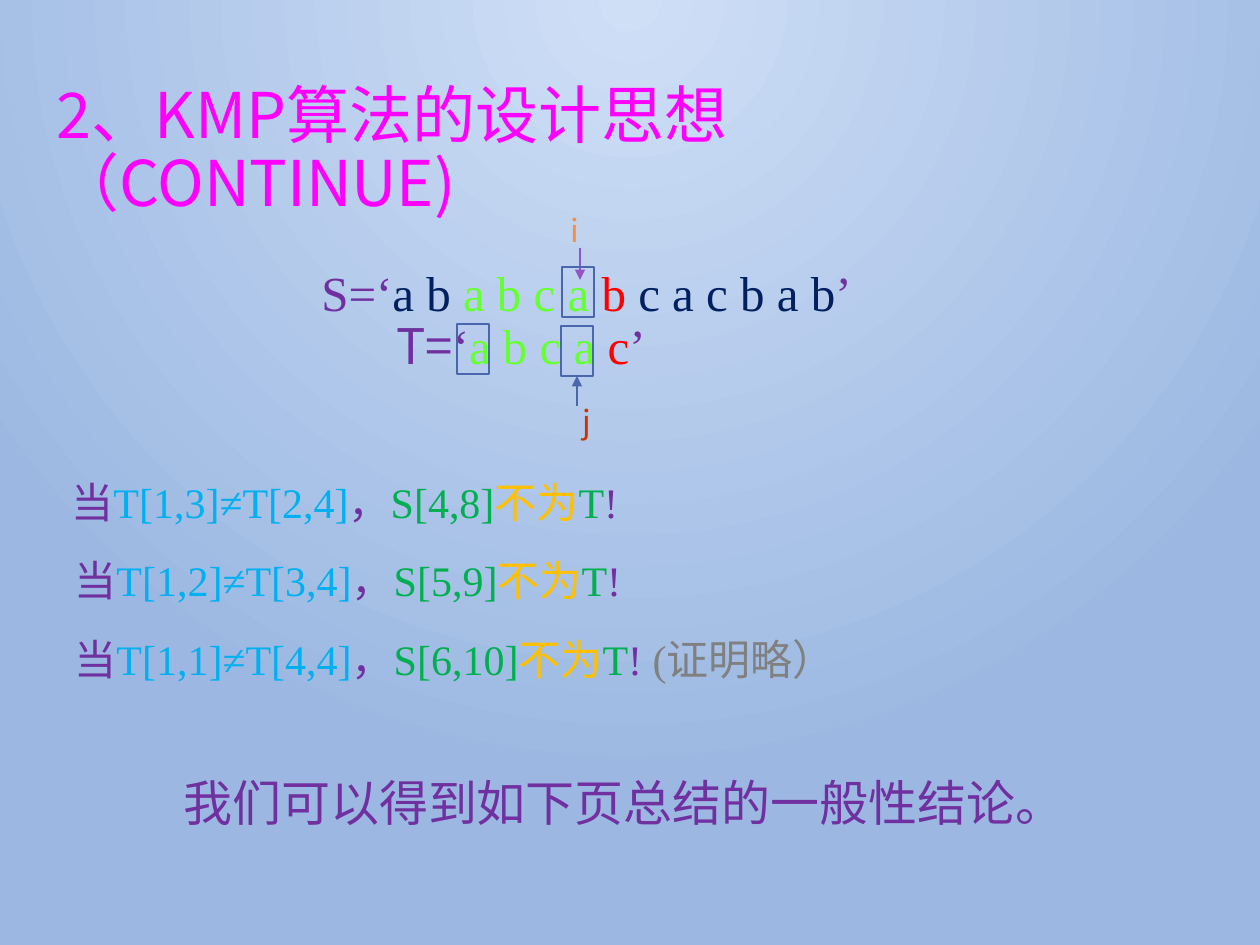
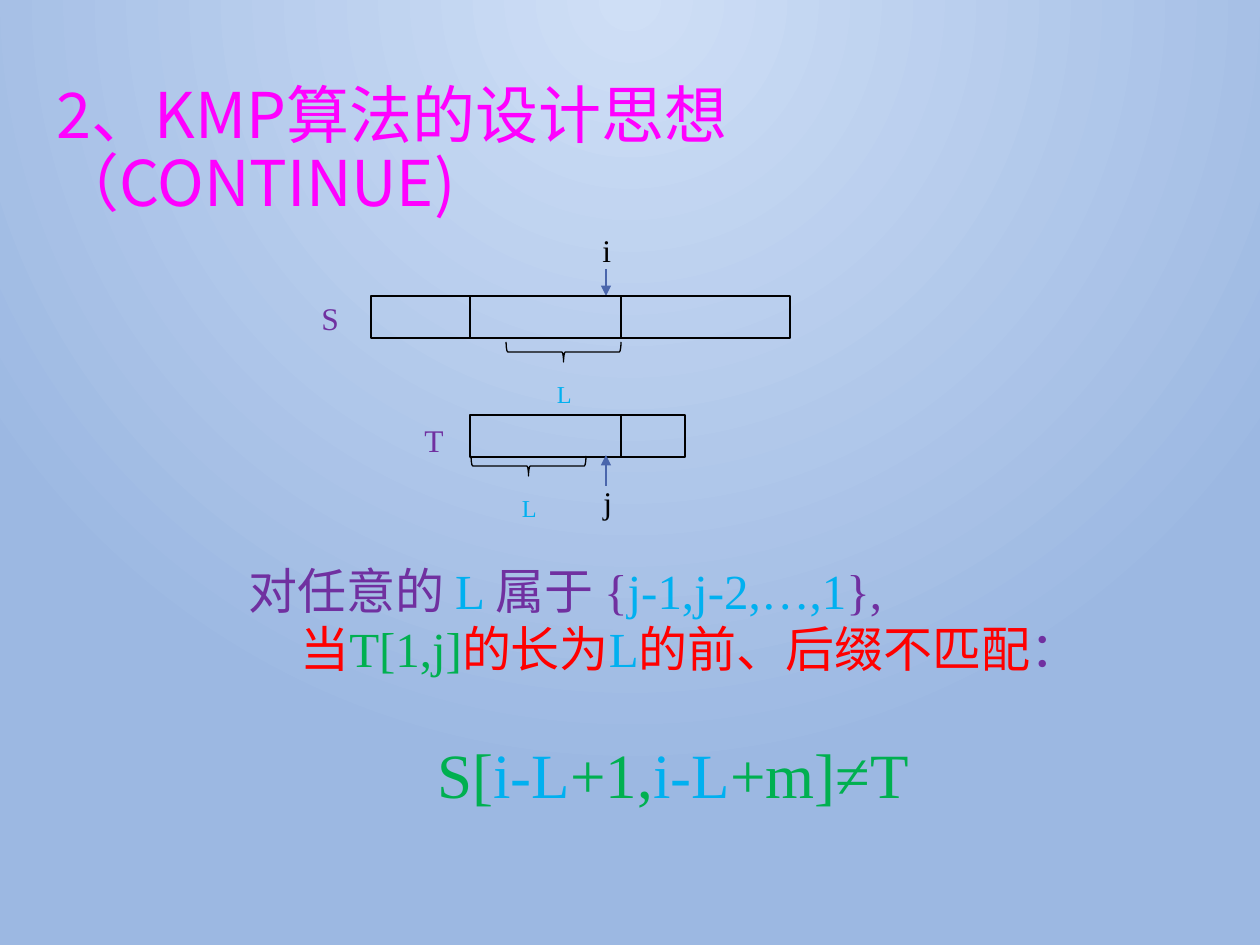
from dataclasses import dataclass

from lxml import etree
from pptx import Presentation
from pptx import util as u
from pptx.dml.color import RGBColor
from pptx.enum import shapes, text
from pptx.oxml.ns import qn

PX = 914400 / 126


@dataclass(frozen=True)
class Theme:
    sans: str = "Noto Sans CJK SC"
    serif: str = "Times New Roman"
    body: str = "Calibri"
    glow: str = "CFDFF6"
    sky: str = "9CB8E2"
    magenta: str = "FF00FF"
    purple: str = "7030A0"
    navy: str = "002060"
    lime: str = "66FF33"
    red: str = "FF0000"
    orange: str = "F98D43"
    violet: str = "9454C3"
    rust: str = "CC3300"
    blue: str = "4A66AC"
    cyan: str = "00B0F0"
    green: str = "00B050"
    gold: str = "FFC000"
    gray: str = "808080"
    black: str = "000000"
    title_size: int = 36
    large: int = 28
    medium: int = 24
    small: int = 18
    line_width: float = 0.75


T = Theme()


def px(n):
    return u.Emu(round(n * PX))


def rgb(value):
    return RGBColor.from_string(value)


def add_background(s):
    """Radial glow that spreads from the top centre."""
    fill = s.background.fill
    fill.gradient()
    for stop, color, position in zip(fill.gradient_stops, (T.glow, T.sky), (0, 1)):
        stop.color.rgb = rgb(color)
        stop.position = position
    grad = s.element.xpath(".//p:bg//a:gradFill")[0]
    lin = grad.find(qn("a:lin"))
    path = etree.Element(qn("a:path"), {"path": "circle"})
    etree.SubElement(path, qn("a:fillToRect"),
                     {"l": "43000", "t": "0", "r": "43000", "b": "100000"})
    grad.replace(lin, path)


def write(p, runs, size, font):
    """Fill a paragraph with (text, colour) runs of one size and font."""
    for words, color in runs:
        r = p.add_run()
        r.text = words
        r.font.color.rgb = rgb(color)
    p.font.size = u.Pt(size)
    p.font.name = font
    for props in p._p.xpath("a:pPr/a:defRPr"):
        etree.SubElement(props, qn("a:ea"), {"typeface": T.sans})


def add_text(s, x, y, w, h, runs, size, font=T.serif):
    """Add a text box and return its first paragraph and frame."""
    tf = s.shapes.add_textbox(px(x), px(y), px(w), px(h)).text_frame
    tf.word_wrap = True
    p = tf.paragraphs[0]
    write(p, runs, size, font)
    return p, tf


def add_outline(s, x, y, w, h, color, kind=shapes.MSO_SHAPE.RECTANGLE):
    sp = s.shapes.add_shape(kind, px(x), px(y), px(w), px(h))
    sp.shadow.inherit = False
    sp.fill.background()
    sp.line.color.rgb = rgb(color)
    sp.line.width = u.Pt(T.line_width)
    return sp


def add_line(s, x, y1, y2, color, arrow=False):
    """Vertical line, with an optional arrowhead at y2."""
    c = s.shapes.add_connector(shapes.MSO_CONNECTOR.STRAIGHT,
                               px(x), px(y1), px(x), px(y2))
    c.line.color.rgb = rgb(color)
    c.line.width = u.Pt(T.line_width)
    if arrow:
        etree.SubElement(c.line._get_or_add_ln(), qn("a:tailEnd"), {"type": "triangle"})
    etree.SubElement(c._element.spPr, qn("a:effectLst"))
    return c


def add_bar(s, x, y, w, h, cuts):
    """Box for a string, split at the given offsets."""
    add_outline(s, x, y, w, h, T.black)
    for cut in cuts:
        add_line(s, x + cut, y, y + h, T.black)


def add_brace(s, x, y, w, h):
    """Brace below a span of a bar, with the length L under it."""
    brace = add_outline(s, x + (w - h) / 2, y + (h - w) / 2, h, w, T.black,
                        shapes.MSO_SHAPE.RIGHT_BRACE)
    brace.rotation = 90
    p, _ = add_text(s, x + w / 2 - 19, y + 3, 59, 47, [("L", T.cyan)], T.medium)
    p.runs[0]._r.get_or_add_rPr().set("baseline", "-25000")


def add_title(s, x, y, w, h):
    p, _ = add_text(s, x, y, w, h, [("2、KMP算法的设计思想（CONTINUE)", T.magenta)],
                    T.title_size, T.sans)
    p.line_spacing = 0.9


def add_match(s, x, y):
    """Strings S and T aligned at the mismatch, with pointers i and j."""
    add_text(s, x, y + 51, 577, 72,
             [("S=‘", T.purple), ("a b ", T.navy), ("a b c a ", T.lime),
              ("b ", T.red), ("c a c b a b", T.navy), ("’", T.purple)], T.large)
    p, _ = add_text(s, x + 75, y + 104, 300, 72,
                    [("T=", T.purple), ("‘", T.purple), ("a b c a ", T.lime),
                     ("c", T.red), ("’", T.purple)], T.large, T.serif)
    p.runs[0].font.name = T.sans
    add_text(s, x + 249, y, 32, 50, [("i", T.orange)], T.small, T.sans)
    add_line(s, x + 271, y + 43, y + 75, T.violet, arrow=True)
    add_text(s, x + 261, y + 191, 42, 50, [("j", T.rust)], T.small, T.sans)
    cells = [add_outline(s, x + dx, y + dy, 32, 50, T.blue)
             for dx, dy in ((253, 62), (148, 119), (252, 121))]
    pointer = add_line(s, x + 268, y + 201, y + 171, T.blue, arrow=True)
    pointer.end_connect(cells[-1], 2)


def add_conditions(s, x, y, w):
    """One line for each prefix and suffix that differ."""
    rows = [(0, "T[1,3]≠T[2,4]", "S[4,8]", ""),
            (3, "T[1,2]≠T[3,4]", "S[5,9]", ""),
            (3, "T[1,1]≠T[4,4]", "S[6,10]", " (证明略）")]
    for i, (dx, premise, window, note) in enumerate(rows):
        runs = [("当", T.purple), (premise, T.cyan), ("，", T.purple),
                (window, T.green), ("不为", T.gold), ("T", T.green), ("!", T.purple)]
        if note:
            runs.append((note, T.gray))
        add_text(s, x + dx, y + i * 157 // 2, w, 63, runs, T.medium)


def add_bars(s, x, y):
    """Bars for S and T, with pointers i and j and the spans of length L."""
    add_text(s, x + 281, y, 45, 50, [("i", T.black)], T.small)
    add_line(s, x + 297, y + 44, y + 71, T.blue, arrow=True)
    add_text(s, x, y + 68, 55, 50, [("S", T.purple)], T.small)
    add_bar(s, x + 62, y + 71, 419, 42, (99, 250))
    add_brace(s, x + 197, y + 117, 115, 20)
    add_text(s, x + 103, y + 190, 55, 50, [("T", T.purple)], T.small)
    add_bar(s, x + 161, y + 190, 215, 42, (151,))
    add_brace(s, x + 162, y + 231, 115, 20)
    add_line(s, x + 297, y + 261, y + 230, T.blue, arrow=True)
    add_text(s, x + 282, y + 252, 45, 50, [("j", T.black)], T.small)


def add_rule(s, x, y, w, h):
    """General rule in three lines, each indented further."""
    _, tf = add_text(s, x, y, w, h,
                     [("对任意的 ", T.purple), ("L ", T.cyan), ("属于 {", T.purple),
                      ("j-1,j-2,…,1", T.cyan), ("},", T.purple)], T.large)
    lines = [
        (52, 0, T.large, [("当", T.red), ("T[1,j]", T.green), ("的长为", T.red),
                          ("L", T.cyan), ("的前、后缀不匹配", T.red), ("：", T.purple)]),
        (189, 33, T.title_size, [("S[", T.green), ("i-L", T.cyan), ("+1,", T.green),
                                 ("i-L", T.cyan), ("+m]≠T", T.green)]),
    ]
    for indent, gap, size, runs in lines:
        p = tf.add_paragraph()
        write(p, runs, size, T.serif)
        p._p.get_or_add_pPr().set("marL", str(px(indent)))
        p.space_before = u.Pt(gap)


def add_slide(prs):
    s = prs.slides.add_slide(prs.slide_layouts[6])
    add_background(s)
    add_title(s, 44, 78, 1029, 72)
    return s


def build_example(prs):
    s = add_slide(prs)
    add_match(s, 309, 205)
    add_conditions(s, 59, 470, 1176)
    add_text(s, 171, 766, 902, 72,
             [("我们可以得到如下页总结的一般性结论。", T.purple)], T.large, T.body)


def build_general_rule(prs):
    s = add_slide(prs)
    add_bars(s, 309, 225)
    add_rule(s, 236, 554, 940, 264)


def main():
    prs = Presentation()
    prs.slide_width, prs.slide_height = px(1260), px(945)
    build_example(prs)
    build_general_rule(prs)
    prs.save("out.pptx")


if __name__ == "__main__":
    main()
